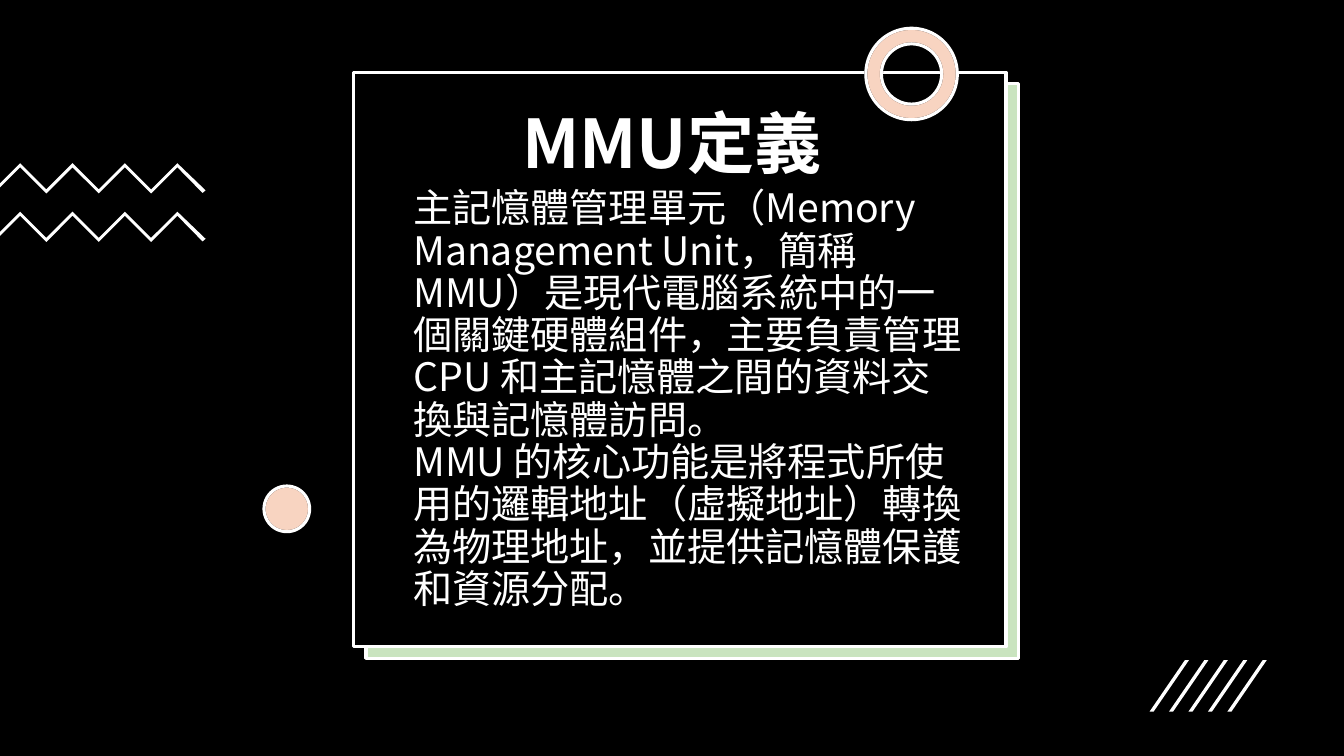
from lxml import etree
from pptx import Presentation
from pptx.dml.color import RGBColor
from pptx.enum.shapes import MSO_SHAPE
from pptx.enum.text import MSO_ANCHOR, MSO_AUTO_SIZE, PP_ALIGN
from pptx.oxml.ns import qn
from pptx.util import Pt

BLACK = RGBColor(0x00, 0x00, 0x00)
WHITE = RGBColor(0xFF, 0xFF, 0xFF)
GREEN = RGBColor(0x4E, 0xA7, 0x2E)
ORANGE = RGBColor(0xE9, 0x71, 0x32)
FONT = "Noto Sans CJK SC"

RECT, OVAL, DONUT = MSO_SHAPE.RECTANGLE, MSO_SHAPE.OVAL, MSO_SHAPE.DONUT
LEFT, CENTER = PP_ALIGN.LEFT, PP_ALIGN.CENTER
TOP, BOTTOM = MSO_ANCHOR.TOP, MSO_ANCHOR.BOTTOM
NO_FIT, SHRINK = MSO_AUTO_SIZE.NONE, MSO_AUTO_SIZE.TEXT_TO_FIT_SHAPE

PANEL_W, PANEL_H = 465.84, 410.4
DEFINITION = (
    "主記憶體管理單元（Memory Management Unit，簡稱 MMU）是現代電腦系統中的一個"
    "關鍵硬體組件，主要負責管理 CPU 和主記憶體之間的資料交換與記憶體訪問。",
    "MMU 的核心功能是將程式所使用的邏輯地址（虛擬地址）轉換為物理地址，"
    "並提供記憶體保護和資源分配。",
)


def paint(sp, fill, line=None, alpha=None):
    sp.shadow.inherit = False
    sp.fill.solid()
    sp.fill.fore_color.rgb = fill
    if alpha is not None:
        color = sp.fill._xPr.find(qn("a:solidFill"))[0]
        etree.SubElement(color, qn("a:alpha")).set("val", str(alpha * 1000))
    if line is None:
        sp.line.fill.background()
    else:
        sp.line.color.rgb = line
        sp.line.width = Pt(2.25)


def add_preset(shapes, kind, box, fill, line=None, alpha=None):
    sp = shapes.add_shape(kind, *map(Pt, box))
    if kind == DONUT:
        sp.adjustments[0] = 0.17
    paint(sp, fill, line, alpha)


def add_tinted(shapes, kind, box, tint):
    """White base with a translucent tint on top."""
    add_preset(shapes, kind, box, WHITE, BLACK)
    add_preset(shapes, kind, box, tint, WHITE, 30)


def add_outline(shapes, points):
    start, *rest = [(Pt(x), Pt(y)) for x, y in points]
    builder = shapes.build_freeform(*start)
    builder.add_line_segments(rest, close=True)
    paint(builder.convert_to_shape(), WHITE)


def add_zigzag(shapes, top):
    ridge = [(14.4 + 18.72 * i, top + 18.72 * (i % 2)) for i in range(7)]
    upper = [(0, top + 14.4)] + ridge + [(146.9, top + 19.4)]
    lower = [(144.7, top + 21.2)]
    lower += [(x, y + 2.9) for x, y in reversed(ridge)]
    lower += [(0, top + 17.3)]
    add_outline(shapes, upper + lower)


def add_stripes(shapes, left, top):
    group = shapes.add_group_shape()
    for i in range(5):
        x = left + 13.9 * i
        add_outline(group.shapes, [(x + 2.9, top + 36.7), (x, top + 36.7),
                                   (x + 25.2, top), (x + 28.1, top)])


def write_text(sp, lines, size, align, anchor, fit, bold=False):
    tf = sp.text_frame
    tf.word_wrap = True
    tf.auto_size = fit
    tf.vertical_anchor = anchor
    p = tf.paragraphs[0]
    p.alignment = align
    p.line_spacing = 0.9
    for i, line in enumerate(lines):
        if i:
            p.add_line_break()
        r = p.add_run()
        r.text = line
        r.font.name = FONT
        r.font.size = Pt(size)
        r.font.bold = bold
        r.font.color.rgb = WHITE
        etree.SubElement(r.font._element, qn("a:ea")).set("typeface", FONT)
    return p


def main():
    prs = Presentation()
    prs.slide_width, prs.slide_height = Pt(960), Pt(540)
    s = prs.slides.add_slide(prs.slide_layouts[5])
    shapes = s.shapes

    # Backdrop and framed panel
    add_preset(shapes, RECT, (0, 0, 960, 540), BLACK)
    add_tinted(shapes, RECT, (261.4, 59.9, PANEL_W, PANEL_H), GREEN)
    add_preset(shapes, RECT, (252.8, 51.7, PANEL_W, PANEL_H), BLACK, WHITE)

    # Definition in the title placeholder, raised above the panel
    title = shapes.title
    title.left, title.top = Pt(288), Pt(127.4)
    title.width, title.height = Pt(411.8), Pt(313.2)
    shapes.element.append(title.element)
    write_text(title, DEFINITION, 28, LEFT, BOTTOM, SHRINK)

    # Heading
    heading = shapes.add_textbox(Pt(313.9), Pt(75.6), Pt(331.9), Pt(82.1))
    p = write_text(heading, ["MMU定義"], 48, CENTER, TOP, NO_FIT, bold=True)
    p.space_before, p.space_after = Pt(10), Pt(6)

    # Decorations
    add_tinted(shapes, DONUT, (618.5, 20.2, 65.3, 65.3), ORANGE)
    for top in (116.6, 151.2):
        add_zigzag(shapes, top)
    add_tinted(shapes, OVAL, (188.6, 347.2, 32.6, 32.6), ORANGE)
    add_stripes(shapes, 821.1, 471.6)

    prs.save("out.pptx")


if __name__ == "__main__":
    main()
